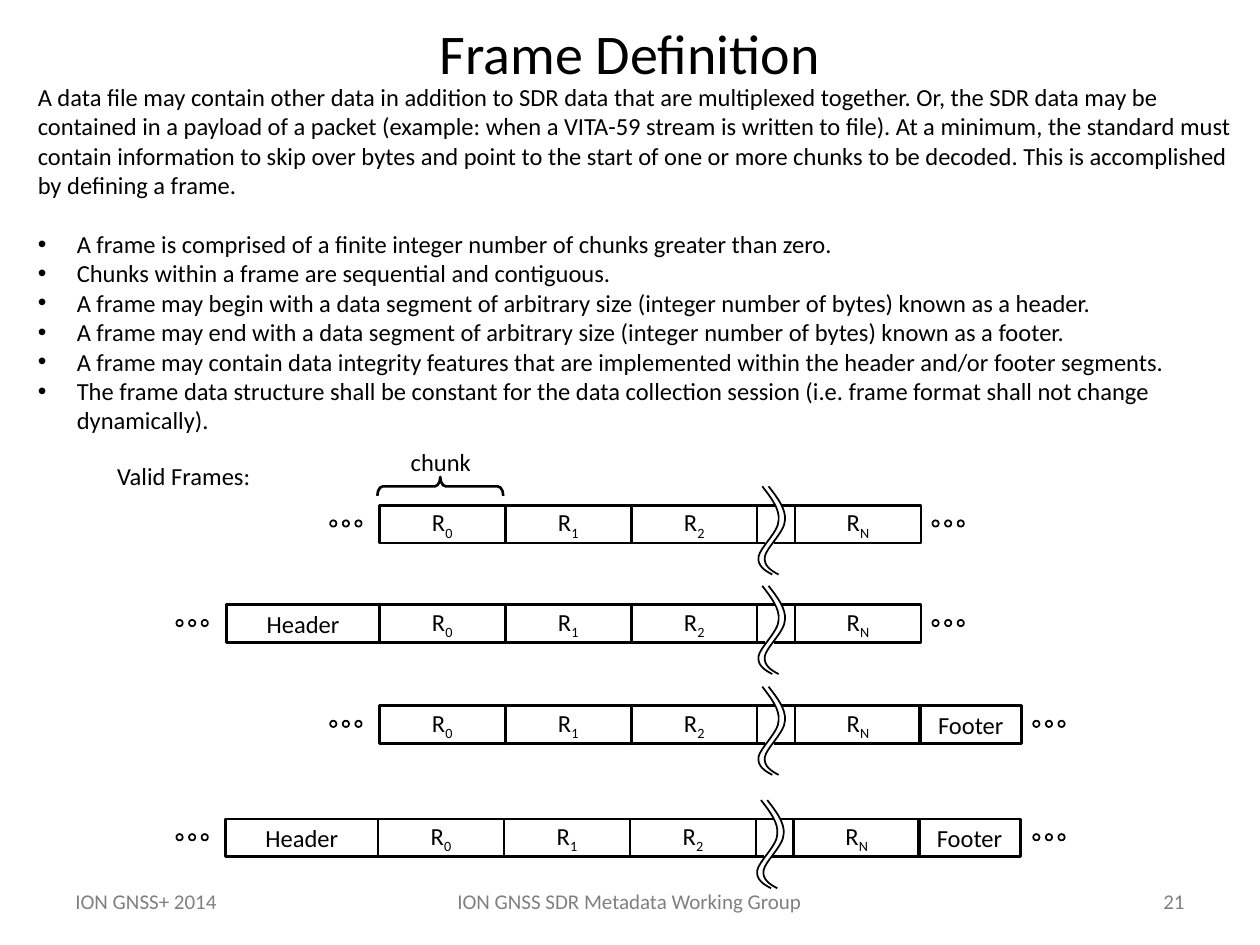
import pptx
import pptx.dml.color
import pptx.enum.shapes
import pptx.enum.text
import pptx.oxml.ns
import pptx.util
from lxml import etree

Inches = pptx.util.Inches
Pt = pptx.util.Pt
SHAPE = pptx.enum.shapes.MSO_SHAPE
ALIGN = pptx.enum.text.PP_ALIGN
ANCHOR = pptx.enum.text.MSO_ANCHOR
AUTO_SIZE = pptx.enum.text.MSO_AUTO_SIZE
BLACK = pptx.dml.color.RGBColor(0, 0, 0)
GRAY = pptx.dml.color.RGBColor(0x80, 0x80, 0x80)

CHUNK_LEFT = 3.01
CHUNK_WIDTH = 1.0
BREAK_LEFT = 6.01
LAST_LEFT = 6.31
FRAME_RIGHT = 7.3
ROW_HEIGHT = 0.3
HEADER_WIDTH = 1.21
FOOTER_WIDTH = 0.81

INTRO = (
    "A data file may contain other data in addition to SDR data that are multiplexed together. "
    "Or, the SDR data may be contained in a payload of a packet (example: when a VITA-59 stream "
    "is written to file). At a minimum, the standard must contain information to skip over bytes "
    "and point to the start of one or more chunks to be decoded. This is accomplished by defining a frame."
)
RULES = [
    "A frame is comprised of a finite integer number of chunks greater than zero.",
    "Chunks within a frame are sequential and contiguous.",
    "A frame may begin with a data segment of arbitrary size (integer number of bytes) known as a header.",
    "A frame may end with a data segment of arbitrary size (integer number of bytes) known as a footer.",
    "A frame may contain data integrity features that are implemented within the header and/or footer segments.",
    "The frame data structure shall be constant for the data collection session "
    "(i.e. frame format shall not change dynamically).",
]
FRAMES = [
    (4.01, False, False, 0),
    (4.8, True, False, 0),
    (5.6, False, True, 0),
    (6.5, True, True, -0.01),
]
WAVE_START = (0.04, 0)
WAVE_CURVES = [
    ((0.11, 0.09), (0.18, 0.18), (0.17, 0.27)),
    ((0.17, 0.36), (0.02, 0.49), (0.01, 0.56)),
    ((0, 0.63), (0.06, 0.67), (0.12, 0.7)),
]


def write_text(para, text, size=14, color=BLACK, align=ALIGN.LEFT):
    para.alignment = align
    base, _, subscript = text.partition("_")
    for part in filter(None, (base, subscript)):
        span = para.add_run()
        span.text = part
        span.font.name = "Calibri"
        span.font.size = Pt(size)
        span.font.color.rgb = color
        if part is subscript:
            span.font._element.set("baseline", "-25000")


def add_text(page, text, left, top, width, height, inset=0.0, wrap=True, grow=True,
             anchor=ANCHOR.TOP, **style):
    box = page.shapes.add_textbox(Inches(left), Inches(top), Inches(width), Inches(height))
    frame = box.text_frame
    frame.word_wrap = wrap
    frame.auto_size = AUTO_SIZE.SHAPE_TO_FIT_TEXT if grow else AUTO_SIZE.NONE
    frame.vertical_anchor = anchor
    frame.margin_left = frame.margin_right = Inches(inset)
    frame.margin_top = frame.margin_bottom = Inches(inset / 2)
    write_text(frame.paragraphs[0], text, **style)
    return box


def add_bullet(frame, text):
    para = frame.add_paragraph()
    write_text(para, text)
    properties = para._p.get_or_add_pPr()
    properties.set("marL", str(Inches(0.31)))
    properties.set("indent", str(-Inches(0.31)))
    font = etree.SubElement(properties, pptx.oxml.ns.qn("a:buFont"))
    font.set("typeface", "Arial")
    etree.SubElement(properties, pptx.oxml.ns.qn("a:buChar")).set("char", "•")
    return para


def outline(shape, weight):
    shape.shadow.inherit = False
    shape.fill.background()
    shape.line.color.rgb = BLACK
    shape.line.width = Pt(weight)


def add_outlined(page, kind, left, top, width, height, weight=1.5):
    shape = page.shapes.add_shape(kind, Inches(left), Inches(top), Inches(width), Inches(height))
    outline(shape, weight)
    return shape


def add_segment(page, text, left, top, width):
    shape = add_outlined(page, SHAPE.RECTANGLE, left, top, width, ROW_HEIGHT)
    shape.text_frame.vertical_anchor = ANCHOR.MIDDLE
    write_text(shape.text_frame.paragraphs[0], text, align=ALIGN.CENTER)


def add_rule(page, left, right, top):
    rule = page.shapes.add_connector(
        pptx.enum.shapes.MSO_CONNECTOR.STRAIGHT, Inches(left), Inches(top), Inches(right), Inches(top)
    )
    rule.line.color.rgb = BLACK
    rule.line.width = Pt(1.5)
    etree.SubElement(rule._element.spPr, pptx.oxml.ns.qn("a:effectLst"))


def add_wave(page, left, top):
    def place(point):
        return Inches(left + point[0]), Inches(top + point[1])

    builder = page.shapes.build_freeform(*place(WAVE_START), scale=1.0)
    builder.add_line_segments([place(curve[-1]) for curve in WAVE_CURVES], close=False)
    wave = builder.convert_to_shape()
    outline(wave, 1)
    segments = list(wave._element.iter(pptx.oxml.ns.qn("a:lnTo")))
    for segment, curve in zip(segments, WAVE_CURVES):
        bend = etree.Element(pptx.oxml.ns.qn("a:cubicBezTo"))
        for x, y in map(place, curve):
            point = etree.SubElement(bend, pptx.oxml.ns.qn("a:pt"))
            point.set("x", str(x - wave.left))
            point.set("y", str(y - wave.top))
        segment.getparent().replace(segment, bend)


def add_break(page, left, top):
    for offset in (0, 0.05):
        add_wave(page, left + offset, top - 0.15)
    bottom = top + ROW_HEIGHT
    for start, end, height in ((0, 0.14, top), (0.2, 0.3, top), (0, 0.06, bottom), (0.13, 0.3, bottom)):
        add_rule(page, left + start, left + end, height)


def add_dots(page, left, top):
    for index in range(3):
        add_outlined(page, SHAPE.OVAL, left + 0.1 * index, top, 0.05, 0.05, weight=1)


def add_frame(page, top, header, footer, shift):
    for index in range(3):
        add_segment(page, f"R_{index}", CHUNK_LEFT + shift + index * CHUNK_WIDTH, top, CHUNK_WIDTH)
    add_break(page, BREAK_LEFT + shift, top)
    add_segment(page, "R_N", LAST_LEFT + shift, top, CHUNK_WIDTH)
    if header:
        add_segment(page, "Header", CHUNK_LEFT + shift - HEADER_WIDTH, top, HEADER_WIDTH)
    if footer:
        add_segment(page, "Footer", FRAME_RIGHT + shift, top, FOOTER_WIDTH)
    add_dots(page, 1.4 if header else 2.62, top + 0.12)
    add_dots(page, 8.2 if footer else 7.4, top + 0.12)


def add_chunk_label(page):
    brace = add_outlined(page, SHAPE.RIGHT_BRACE, 3.42, 3.36, 0.15, CHUNK_WIDTH)
    brace.rotation = 270
    brace.adjustments[0] = 0.29
    brace.adjustments[1] = 0.5
    add_text(page, "chunk", 3.26, 3.55, 0.48, 0.24, wrap=False)


def main():
    deck = pptx.Presentation()
    deck.slide_width = Inches(10)
    deck.slide_height = Inches(7.5)
    page = deck.slides.add_slide(deck.slide_layouts[6])

    add_text(page, "21", 8.67, 7, 0.83, 0.3, inset=0.1, size=12, color=GRAY, align=ALIGN.RIGHT)
    add_text(page, "ION GNSS SDR Metadata Working Group", 3.49, 7, 3.01, 0.3, inset=0.1,
             wrap=False, size=12, color=GRAY, align=ALIGN.CENTER)
    add_text(page, "ION GNSS+ 2014", 0.5, 7, 1.33, 0.3, inset=0.1, wrap=False, size=12, color=GRAY)
    add_text(page, "Frame Definition", 0.5, 0.08, 9, 0.67, inset=0.1, grow=False,
             anchor=ANCHOR.MIDDLE, size=32, align=ALIGN.CENTER)

    body = add_text(page, INTRO, 0.3, 0.65, 9.6, 2.83).text_frame
    bullets = [add_bullet(body, rule) for rule in RULES]
    bullets[0].space_before = Pt(16.8)

    add_chunk_label(page)
    for frame in FRAMES:
        add_frame(page, *frame)
    add_text(page, "Valid Frames:", 0.93, 3.66, 1.07, 0.24, wrap=False)

    deck.save("out.pptx")


main()
